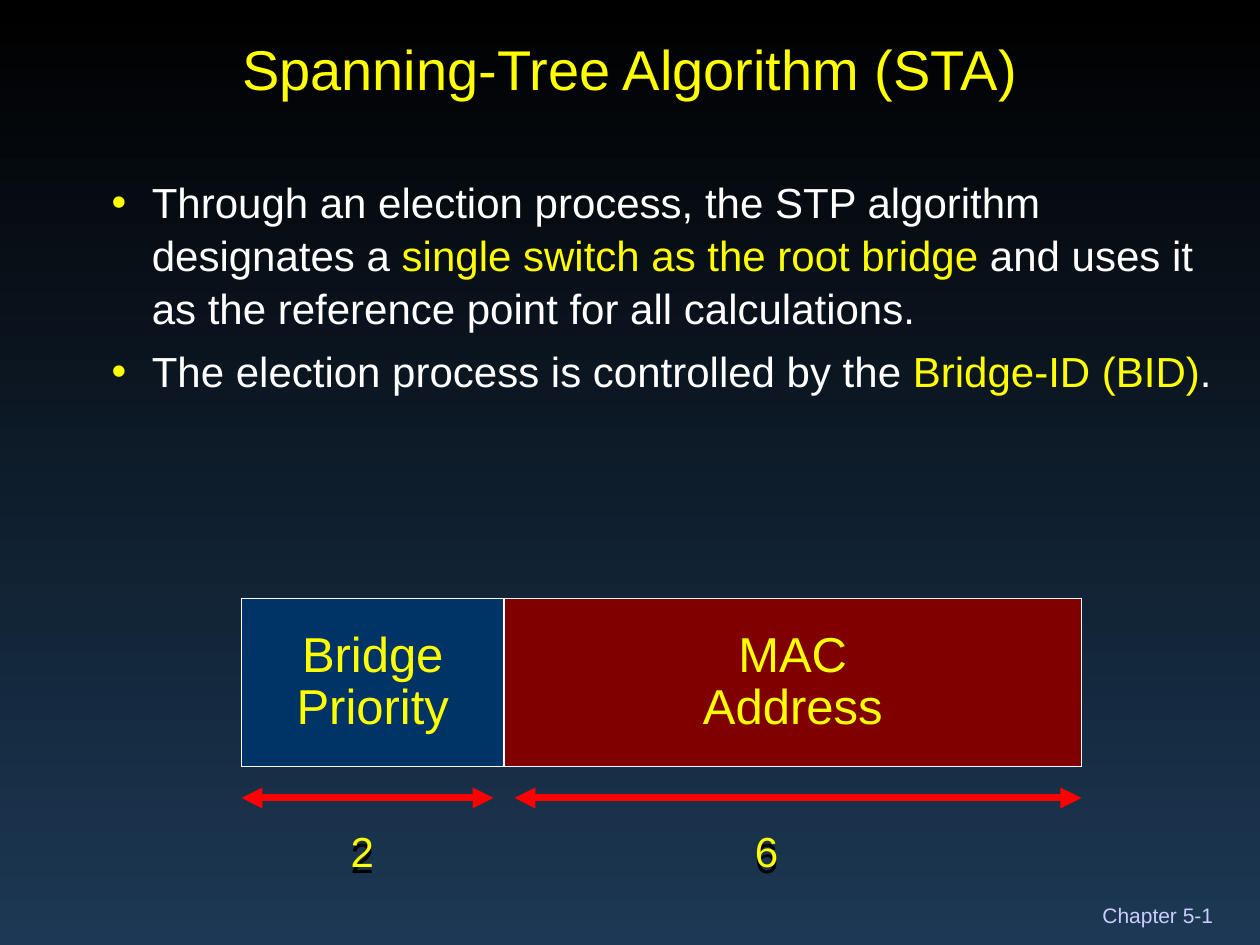
"""Build the slide on the Spanning-Tree Algorithm and its Bridge-ID."""
import pptx
import pptx.dml.color
import pptx.enum.shapes
import pptx.enum.text
import pptx.oxml
import pptx.oxml.ns
import pptx.util

THEME = {
    "font": "Arial",
    "top": "000000", "base": "1C3854",
    "gold": "FFFF00", "white": "FFFFFF", "lilac": "CCCCFF",
    "blue": "003366", "maroon": "800000", "red": "FF0000",
    "small": 12, "body": 24, "cell": 28, "title": 32,
}
UNIT = 1 / 12

TITLE = "Spanning-Tree Algorithm (STA)"
FOOTER = "Chapter 5-1"
POINTS = [
    [("Through an election process, the STP algorithm designates a ", "white"),
     ("single switch as the root bridge", "gold"),
     (" and uses it as the reference point for all calculations.", "white")],
    [("The election process is controlled by the ", "white"),
     ("Bridge-ID (BID)", "gold"), (".", "white")],
]
FIELDS = [
    {"lines": ["Bridge", "Priority"], "cols": 25, "fill": "blue"},
    {"lines": ["MAC\vAddress"], "cols": 55, "fill": "maroon"},
]
SPANS = [
    {"ends": (23, 47), "size": "2", "left": 31, "cols": 7},
    {"ends": (49, 103), "size": "6", "left": 70, "cols": 6},
]
TABLE = (23, 57, 80, 16)
ARROW_ROW, SIZE_ROW = 76, 78

ALIGN = pptx.enum.text.PP_ALIGN
ANCHOR = pptx.enum.text.MSO_ANCHOR


def grid(*cells):
    return [pptx.util.Inches(cell * UNIT) for cell in cells]


def tint(name):
    return pptx.dml.color.RGBColor.from_string(THEME[name])


def node(host, xml):
    host.append(pptx.oxml.parse_xml(
        xml.replace(" ", f" {pptx.oxml.ns.nsdecls('a')} ", 1)))


def write(frame, paras, *, size, color="gold", align=ALIGN.LEFT,
          anchor=ANCHOR.TOP, gap=0, lead=None, bullet=False, wrap=True):
    frame.word_wrap = wrap
    frame.vertical_anchor = anchor
    for at, para in enumerate(paras):
        line = frame.add_paragraph() if at else frame.paragraphs[0]
        line.alignment = align
        line.line_spacing = lead
        if at and gap:
            line.space_before = pptx.util.Pt(gap)
        if bullet:
            props = line._p.get_or_add_pPr()
            props.set("marL", str(pptx.util.Inches(0.94)))
            props.set("indent", str(pptx.util.Inches(-0.32)))
            node(props, f'<a:buClr ><a:srgbClr val="{THEME["gold"]}"/></a:buClr>')
            node(props, f'<a:buFont typeface="{THEME["font"]}"/>')
            node(props, '<a:buChar char="•"/>')
        for text, hue in [(para, color)] if isinstance(para, str) else para:
            for turn, part in enumerate(text.split("\v")):
                if turn:
                    line.add_line_break()
                run = line.add_run()
                run.text = part
                run.font.name = THEME["font"]
                run.font.size = pptx.util.Pt(THEME[size])
                run.font.color.rgb = tint(hue)


def label(slide, box, paras, inset=None, **style):
    shape = slide.shapes.add_textbox(*grid(*box))
    frame = shape.text_frame
    if inset is not None:
        frame.margin_left = frame.margin_right = inset
        frame.margin_top = frame.margin_bottom = inset
    write(frame, paras, **style)
    return shape


def arrow(slide, start, end, row):
    left, right, top = grid(start, end, row)
    line = slide.shapes.add_connector(
        pptx.enum.shapes.MSO_CONNECTOR.STRAIGHT, left, top, right, top)
    line.line.color.rgb = tint("red")
    line.line.width = pptx.util.Pt(4)
    props = line.element.spPr
    stroke = props.find(pptx.oxml.ns.qn("a:ln"))
    for end in ("headEnd", "tailEnd"):
        node(stroke, f'<a:{end} type="triangle"/>')
    node(props, "<a:effectLst />")


def table(slide):
    grid_box = slide.shapes.add_table(1, len(FIELDS), *grid(*TABLE)).table
    width = pptx.util.Pt(1.08)
    for at, field in enumerate(FIELDS):
        grid_box.columns[at].width = grid(field["cols"])[0]
        cell = grid_box.cell(0, at)
        write(cell.text_frame, field["lines"], size="cell",
              align=ALIGN.CENTER, lead=0.96)
        cell.vertical_anchor = ANCHOR.MIDDLE
        props = cell._tc.get_or_add_tcPr()
        for side in "LRTB":
            node(props, f'<a:ln{side} w="{width}"><a:solidFill>'
                        f'<a:srgbClr val="{THEME["white"]}"/>'
                        f'</a:solidFill></a:ln{side}>')
        cell.fill.solid()
        cell.fill.fore_color.rgb = tint(field["fill"])


def main():
    deck = pptx.Presentation()
    deck.slide_width, deck.slide_height = grid(120, 90)
    slide = deck.slides.add_slide(deck.slide_layouts[6])
    back = slide.background.fill
    back.gradient()
    back.gradient_angle = 270
    for stop, name in zip(back.gradient_stops, ("top", "base")):
        stop.color.rgb = tint(name)

    label(slide, (105, 86, 11, 2.4), [FOOTER], inset=0, size="small",
          color="lilac", anchor=ANCHOR.BOTTOM, wrap=False)
    label(slide, (2, 2, 116, 9), [TITLE], size="title",
          align=ALIGN.CENTER, anchor=ANCHOR.MIDDLE)
    label(slide, (2, 16, 116, 72), POINTS, size="body", gap=6,
          lead=1.05, bullet=True)
    table(slide)
    for span in SPANS:
        arrow(slide, *span["ends"], ARROW_ROW)
        shape = label(slide, (span["left"], SIZE_ROW, span["cols"], 6),
                      [span["size"]], size="body", align=ALIGN.CENTER)
        node(shape.element.spPr,
             f'<a:effectLst ><a:outerShdw dist="{pptx.util.Pt(3.5)}" dir="5400000">'
             f'<a:srgbClr val="{THEME["top"]}"/></a:outerShdw></a:effectLst>')
    deck.save("out.pptx")


if __name__ == "__main__":
    main()
